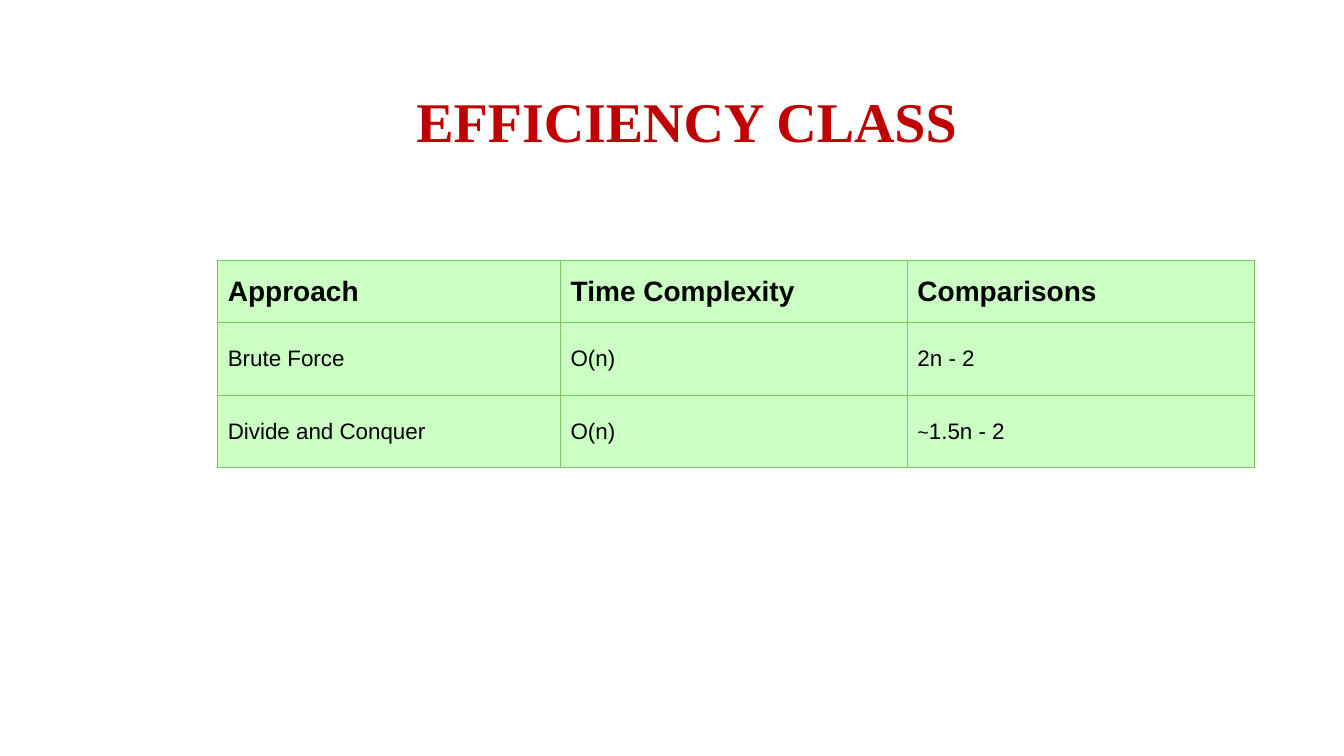
"""Build the efficiency class slide with its comparison table."""
from lxml import etree
from pptx import Presentation
from pptx.dml.color import RGBColor
from pptx.enum.text import MSO_ANCHOR, MSO_AUTO_SIZE, PP_ALIGN
from pptx.oxml.ns import qn
from pptx.util import Inches, Pt

LEFT = PP_ALIGN.LEFT
MIDDLE = MSO_ANCHOR.MIDDLE
TOP = MSO_ANCHOR.TOP
NO_FIT = MSO_AUTO_SIZE.NONE

TITLE = "EFFICIENCY CLASS"
ROWS = [
    ("Approach", "Time Complexity", "Comparisons"),
    ("Brute Force", "O(n)", "2n - 2"),
    ("Divide and Conquer", "O(n)", "~1.5n - 2"),
]
COLORS = {"title": "C00000", "text": "000000", "fill": "CCFFC4", "line": "78C85D"}
WIDTHS = [3.4, 3.44, 3.44]
HEIGHTS = [0.62, 0.72, 0.72]
SIGN = "~"


def write(frame, text, size, font="Arial", color="text", bold=False, anchor=MIDDLE):
    """Fill a text frame, with a leading sign set slightly smaller."""
    frame.vertical_anchor = anchor
    para = frame.paragraphs[0]
    para.alignment = LEFT
    parts = [(text, size)]
    if text.startswith(SIGN):
        parts = [(SIGN, size - 2), (text[len(SIGN):], size)]
    for part, points in parts:
        run = para.add_run()
        run.text = part
        run.font.size = Pt(points)
        run.font.name = font
        run.font.bold = bold
        run.font.color.rgb = RGBColor.from_string(COLORS[color])


def border(cell):
    """Draw a thin line on all four sides of a cell."""
    props = cell._tc.get_or_add_tcPr()
    for spot, side in enumerate(("a:lnL", "a:lnR", "a:lnT", "a:lnB")):
        line = etree.Element(qn(side), w=str(Pt(0.75)))
        fill = etree.SubElement(line, qn("a:solidFill"))
        etree.SubElement(fill, qn("a:srgbClr"), val=COLORS["line"])
        props.insert(spot, line)


def main():
    """Lay out the title and table, then save."""
    deck = Presentation()
    deck.slide_width, deck.slide_height = Inches(13.33), Inches(7.5)
    slide = deck.slides.add_slide(deck.slide_layouts[5])

    title = slide.shapes.title
    title.left, title.top = Inches(4.03), Inches(0.81)
    title.width, title.height = Inches(10.1), Inches(0.77)
    title.text_frame.auto_size = NO_FIT
    write(title.text_frame, TITLE, 40, font="Times New Roman",
          color="title", bold=True, anchor=TOP)

    table = slide.shapes.add_table(
        len(ROWS), len(WIDTHS), Inches(2.16), Inches(2.58),
        Inches(sum(WIDTHS)), Inches(sum(HEIGHTS))).table
    for col, width in zip(table.columns, WIDTHS):
        col.width = Inches(width)
    for row, height in zip(table.rows, HEIGHTS):
        row.height = Inches(height)

    for r, row in enumerate(ROWS):
        head = r == 0
        for c, text in enumerate(row):
            cell = table.cell(r, c)
            cell.fill.solid()
            cell.fill.fore_color.rgb = RGBColor.from_string(COLORS["fill"])
            border(cell)
            write(cell.text_frame, text, 20 if head else 16, bold=head)
            cell.vertical_anchor = MIDDLE

    deck.save("out.pptx")


if __name__ == "__main__":
    main()
